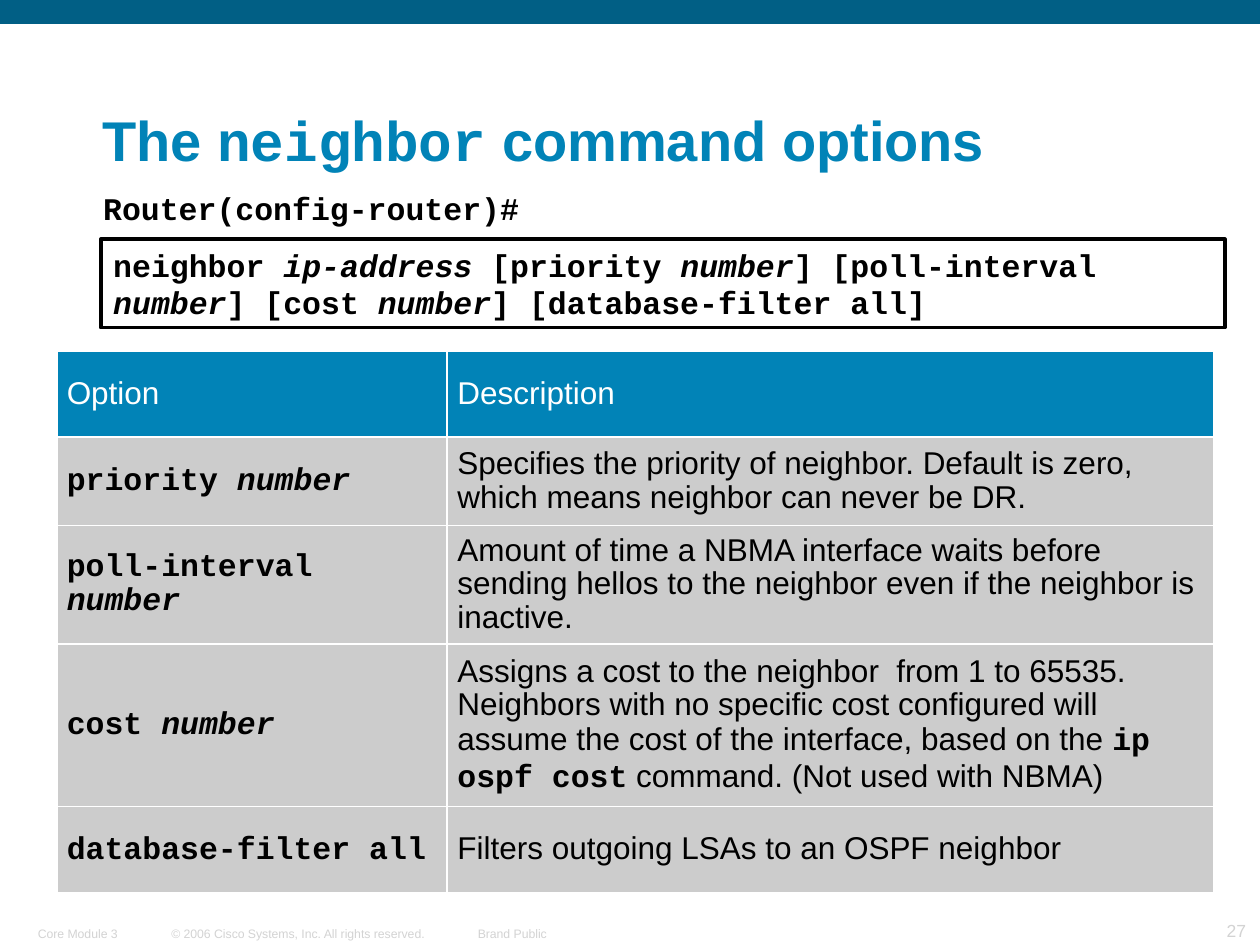
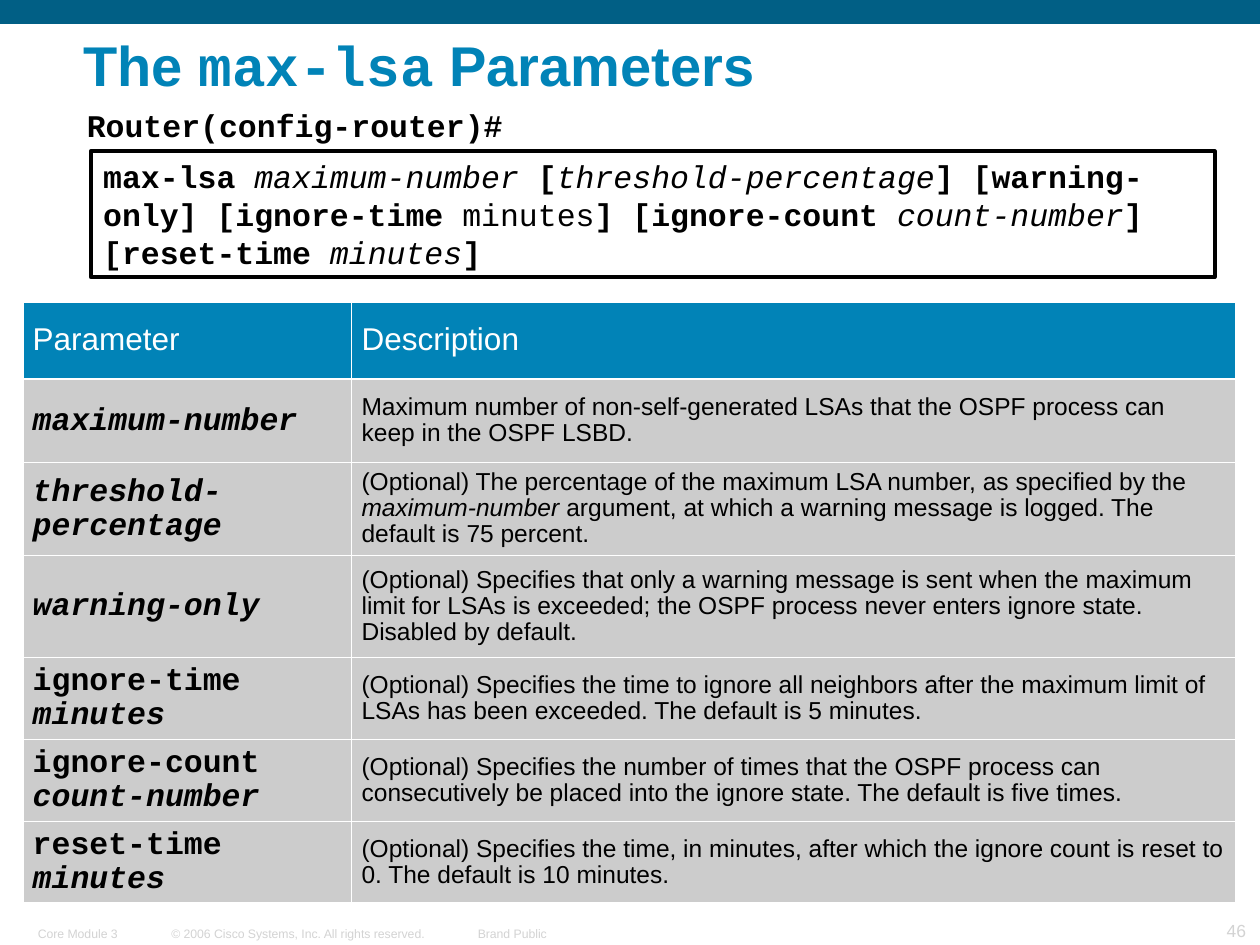
from lxml import etree
from pptx import Presentation
from pptx.dml.color import RGBColor
from pptx.enum.shapes import MSO_SHAPE
from pptx.enum.text import MSO_ANCHOR, MSO_AUTO_SIZE, PP_ALIGN
from pptx.oxml.ns import qn
from pptx.util import Inches, Pt

RECTANGLE = MSO_SHAPE.RECTANGLE
TOP, MIDDLE, BOTTOM = MSO_ANCHOR.TOP, MSO_ANCHOR.MIDDLE, MSO_ANCHOR.BOTTOM
LEFT, RIGHT = PP_ALIGN.LEFT, PP_ALIGN.RIGHT
NO_AUTOFIT = MSO_AUTO_SIZE.NONE
TITLE_ONLY = 5

COLORS = {
    "band": "015F85",
    "accent": "0183B7",
    "cell": "CCCCCC",
    "footer": "D3D3D3",
    "black": "000000",
    "white": "FFFFFF",
}

SANS, MONO = "Arial", "Courier New"
STYLES = {
    "text": {"name": SANS, "bold": False, "italic": False},
    "emphasis": {"name": SANS, "bold": False, "italic": True},
    "heading": {"name": SANS, "bold": True, "italic": False},
    "code": {"name": MONO, "bold": True, "italic": False},
    "variable": {"name": MONO, "bold": True, "italic": True},
    "light code": {"name": MONO, "bold": False, "italic": False},
    "light variable": {"name": MONO, "bold": False, "italic": True},
}

FOOTERS = [
    ("Core Module 3", 0.21, 1.05, LEFT),
    ("© 2006 Cisco Systems, Inc. All rights reserved.", 1.27, 2.2, LEFT),
    ("Brand Public", 3.72, 0.71, RIGHT),
]

NEIGHBOR_SYNTAX = [
    ("neighbor ", "code"),
    ("ip-address ", "variable"),
    ("[priority", "code"),
    (" number", "variable"),
    ("] [poll-interval", "code"),
    (" number", "variable"),
    ("] [cost ", "code"),
    ("number", "variable"),
    ("] [database-filter all]", "code"),
]

NEIGHBOR_OPTIONS = [
    ([("priority ", "code"), ("number", "variable")],
     [("Specifies the priority of neighbor. Default is zero, which means "
       "neighbor can never be DR.", "text")]),
    ([("poll-interval ", "code"), ("number", "variable")],
     [("Amount of time a NBMA interface waits before sending hellos to the "
       "neighbor even if the neighbor is inactive.", "text")]),
    ([("cost ", "code"), ("number", "variable")],
     [("Assigns a cost to the neighbor  from 1 to 65535. Neighbors with no "
       "specific cost configured will assume the cost of the interface, "
       "based on the ", "text"),
      ("ip ospf cost", "code"),
      (" command. (Not used with NBMA)", "text")]),
    ([("database-filter all", "code")],
     [("Filters outgoing LSAs to an OSPF neighbor", "text")]),
]

MAX_LSA_SYNTAX = [
    ("max-lsa ", "code"),
    ("maximum-number", "light variable"),
    (" [", "code"),
    ("threshold-percentage", "light variable"),
    ("] [warning-only] [ignore-time ", "code"),
    ("minutes", "light code"),
    ("] [ignore-count ", "code"),
    ("count-number", "light variable"),
    ("] [reset-time ", "code"),
    ("minutes", "light variable"),
    ("]", "code"),
]

MAX_LSA_PARAMETERS = [
    ([("maximum-number", "variable")],
     [("Maximum number of non-self-generated LSAs that the OSPF process can "
       "keep in the OSPF LSBD.", "text")]),
    ([("threshold-percentage", "variable")],
     [("(Optional) The percentage of the maximum LSA number, as specified by "
       "the ", "text"),
      ("maximum-number ", "emphasis"),
      ("argument, at which a warning message is logged. The default is "
       "75 percent.", "text")]),
    ([("warning-only", "variable")],
     [("(Optional) Specifies that only a warning message is sent when the "
       "maximum limit for LSAs is exceeded; the OSPF process never enters "
       "ignore state. Disabled by default.", "text")]),
    ([("ignore-time ", "code"), ("minutes", "variable")],
     [("(Optional) Specifies the time to ignore all neighbors after the "
       "maximum limit of LSAs has been exceeded. The default is 5 minutes.",
       "text")]),
    ([("ignore-count ", "code"), ("count-number", "variable")],
     [("(Optional) Specifies the number of times that the OSPF process can "
       "consecutively be placed into the ignore state. The default is five "
       "times.", "text")]),
    ([("reset-time ", "code"), ("minutes", "variable")],
     [("(Optional) Specifies the time, in minutes, after which the ignore "
       "count is reset to 0. The default is 10 minutes.", "text")]),
]


def color(name):
    return RGBColor.from_string(COLORS[name])


def apply(target, values):
    for name, value in values.items():
        setattr(target, name, value)


def write(para, spans, size, color_name, align=LEFT, line_spacing=1.0):
    apply(para, {"alignment": align, "line_spacing": line_spacing,
                 "space_before": Pt(0)})
    for text, style in spans:
        span = para.add_run()
        span.text = text
        apply(span.font, {**STYLES[style], "size": Pt(size)})
        span.font.color.rgb = color(color_name)


def set_frame(frame, anchor, side, edge, wrap=True):
    apply(frame, {
        "auto_size": NO_AUTOFIT, "word_wrap": wrap, "vertical_anchor": anchor,
        "margin_left": Inches(side), "margin_right": Inches(side),
        "margin_top": Inches(edge), "margin_bottom": Inches(edge),
    })


def add_rectangle(page, at, fill, line=None):
    box = page.shapes.add_shape(RECTANGLE, *map(Inches, at))
    box.shadow.inherit = False
    box.fill.solid()
    box.fill.fore_color.rgb = color(fill)
    if line:
        box.line.color.rgb = color(line)
        box.line.width = Pt(2.25)
    else:
        box.line.fill.background()
    return box


def add_footer(page, text, at, size, align):
    box = page.shapes.add_textbox(*map(Inches, at))
    set_frame(box.text_frame, BOTTOM, 0.09, 0.04, wrap=False)
    write(box.text_frame.paragraphs[0], [(text, "text")], size, "footer", align)


def add_page(deck, number, title_spans, left, top):
    page = deck.slides.add_slide(deck.slide_layouts[TITLE_ONLY])
    add_rectangle(page, (0, 0, 10, 0.19), "band")
    for text, footer_left, width, align in FOOTERS:
        add_footer(page, text, (footer_left, 7.3, width, 0.21), 7, align)
    add_footer(page, str(number), (9.17, 7.25, 0.81, 0.26), 10, RIGHT)
    title = page.shapes.title
    apply(title, {"left": Inches(left), "top": Inches(top),
                  "width": Inches(8.91), "height": Inches(0.92)})
    set_frame(title.text_frame, BOTTOM, 0.09, 0.04)
    write(title.text_frame.paragraphs[0], title_spans, 32, "accent",
          line_spacing=0.9)
    return page


def add_prompt(page, left, top):
    box = page.shapes.add_textbox(*map(Inches, (left, top, 3.99, 0.4)))
    set_frame(box.text_frame, TOP, 0.1, 0.05)
    write(box.text_frame.paragraphs[0], [("Router(config-router)#", "code")],
          18, "black")


def add_syntax(page, spans, left, top, height):
    box = add_rectangle(page, (left, top, 8.92, height), "white", "black")
    set_frame(box.text_frame, TOP, 0.1, 0.05)
    write(box.text_frame.paragraphs[0], spans, 18, "black")


def add_borders(cell):
    properties = cell._tc.get_or_add_tcPr()
    for side in ("a:lnL", "a:lnR", "a:lnT", "a:lnB"):
        line = etree.SubElement(properties, qn(side), w=str(Pt(1.08)))
        fill = etree.SubElement(line, qn("a:solidFill"))
        etree.SubElement(fill, qn("a:srgbClr"), val=COLORS["white"])


def fill_cell(cell, spans, size, fill, text_color):
    add_borders(cell)
    cell.fill.solid()
    cell.fill.fore_color.rgb = color(fill)
    apply(cell, {
        "vertical_anchor": MIDDLE,
        "margin_left": Inches(0.08), "margin_right": Inches(0.08),
        "margin_top": Inches(0.05), "margin_bottom": Inches(0.05),
    })
    write(cell.text_frame.paragraphs[0], spans, size, text_color,
          line_spacing=0.95)


def add_option_table(page, left, top, widths, heights, heading, rows,
                     description_size):
    frame = page.shapes.add_table(
        len(heights), len(widths), Inches(left), Inches(top),
        Inches(sum(widths)), Inches(sum(heights)))
    table = frame.table
    table.horz_banding = False
    for column, width in zip(table.columns, widths):
        column.width = Inches(width)
    for row, height in zip(table.rows, heights):
        row.height = Inches(height)
    for cell, text in zip(table.rows[0].cells, (heading, "Description")):
        fill_cell(cell, [(text, "text")], 18, "accent", "white")
    for index, contents in enumerate(rows, start=1):
        sizes = (18, description_size)
        for cell, spans, size in zip(table.rows[index].cells, contents, sizes):
            fill_cell(cell, spans, size, "cell", "black")


def add_neighbor_page(deck):
    title = [("The ", "heading"), ("neighbor", "code"),
             (" command options", "heading")]
    page = add_page(deck, 27, title, 0.72, 0.5)
    add_option_table(page, 0.45, 2.79, (3.1, 6.08),
                     (0.68, 0.7, 0.94, 1.29, 0.69),
                     "Option", NEIGHBOR_OPTIONS, 18)
    add_syntax(page, NEIGHBOR_SYNTAX, 0.8, 1.9, 0.7)
    add_prompt(page, 0.72, 1.45)


def add_max_lsa_page(deck):
    title = [("The ", "heading"), ("max-lsa", "code"),
             (" Parameters", "heading")]
    page = add_page(deck, 46, title, 0.57, -0.1)
    add_option_table(page, 0.18, 2.4, (2.61, 7.02),
                     (0.61, 0.66, 0.74, 0.81, 0.65, 0.65, 0.65),
                     "Parameter", MAX_LSA_PARAMETERS, 14)
    add_syntax(page, MAX_LSA_SYNTAX, 0.72, 1.2, 1)
    add_prompt(page, 0.59, 0.79)


def main():
    deck = Presentation()
    deck.slide_width = Inches(10)
    deck.slide_height = Inches(7.5)
    add_neighbor_page(deck)
    add_max_lsa_page(deck)
    deck.save("out.pptx")


if __name__ == "__main__":
    main()
